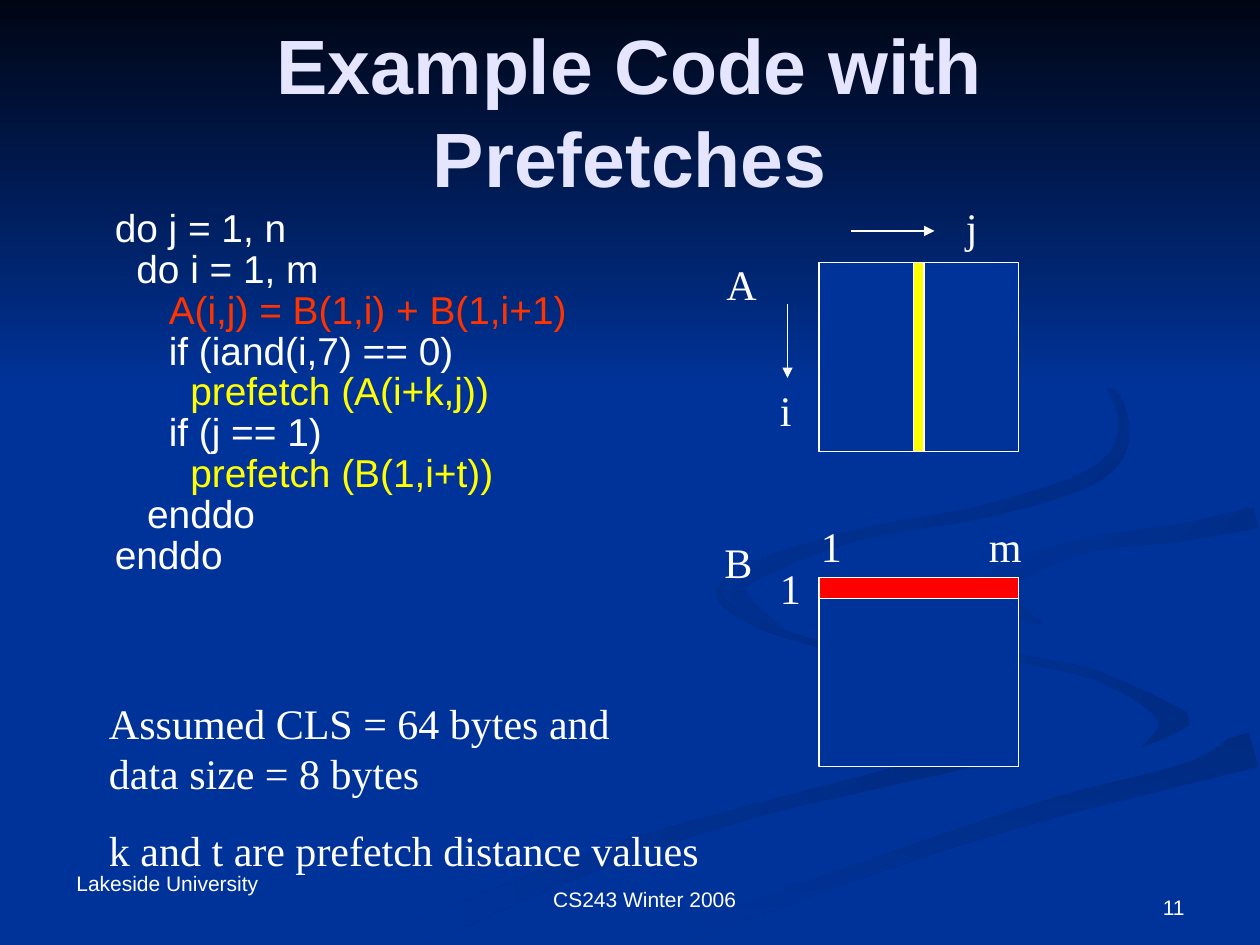
from dataclasses import dataclass
from math import hypot

from lxml.etree import SubElement
from pptx import Presentation
from pptx.dml.color import RGBColor as RGB
from pptx.enum.shapes import MSO_CONNECTOR as Connector, MSO_SHAPE as Shape
from pptx.enum.text import MSO_ANCHOR as Anchor, MSO_AUTO_SIZE as AutoSize, PP_ALIGN as Align
from pptx.oxml.ns import qn
from pptx.util import Inches, Pt

COLORS = {
    "blue": "003399", "night": "000514", "shade": "002B81", "lilac": "E5E5FF",
    "white": "FFFFFF", "orange": "FF3300", "yellow": "FFFF00", "red": "FF0000",
}
SANS, SERIF = "Arial", "Times New Roman"
COLUMNS, ROWS = 120, 90  # square cells
SPACE = 0.278  # width of a space in the sans font, in ems
STEPS = 6  # curve pieces between two waypoints


@dataclass
class Ribbon:
    """A band that follows waypoints (column, row, half its thickness)."""
    waypoints: list
    fill: tuple  # gradient from the first colour to the second
    angle: int = 0


RIBBONS = {
    "left hook": Ribbon(
        [(69, 55.2, 0.1), (68.8, 57.2, 0.3), (73, 59.8, 0.3), (82, 62.5, 0.3),
         (92.5, 66, 0.3), (95.1, 69.1, 0.7), (93, 71.6, 1.1), (85.2, 73.9, 0.8),
         (72, 77.2, 0.6), (57.4, 81.7, 0.9), (40, 88.8, 1.2)], ("shade", "blue"), 180),
    "right hook": Ribbon(
        [(86.9, 55.7, 0.1), (88.5, 59, 0.3), (95.5, 62.2, 0.3), (104.5, 64.3, 0.5),
         (110.5, 67, 1.2), (111.6, 69.8, 1.4), (107.3, 72.6, 0.1)], ("shade", "blue"), 135),
    "lower band": Ribbon(
        [(119.4, 71.4, 1.7), (99, 76.9, 1.3), (83.4, 81.7, 1.4), (65, 88.6, 1.2)],
        ("shade", "blue"), 270),
    "plain band": Ribbon(
        [(119.7, 47.4, 0.9), (102, 50.3, 0.9), (92.5, 52.8, 1.3), (90.3, 55.5, 2),
         (96, 59.5, 1.8), (106, 62.5, 1.8), (115.5, 67.2, 2), (113, 71, 1.5),
         (100, 75, 1), (82, 81, 1), (60, 88.8, 1)], ("blue", "blue")),
    "right tail": Ribbon(
        [(119.6, 49.3, 1), (112, 50.8, 0.8), (103.5, 51.9, 0.7), (96.2, 54.6, 1.2),
         (95.2, 56.8, 1.2), (99.1, 59.4, 0.1)], ("blue", "shade"), 315),
    "upper hook": Ribbon(
        [(91.5, 28, 0.1), (103.8, 35, 0.2), (107, 40.4, 0.5), (104.5, 45.1, 0.7),
         (94.2, 48.6, 0.6), (81.5, 51, 0.5), (71, 54.8, 0.9), (70.5, 57, 0.8),
         (74.6, 60, 0.1)], ("blue", "shade"), 315),
}

CODE = [  # leading spaces, statement, colour
    (0, "do j = 1, n", "white"),
    (2, "do i = 1, m", "white"),
    (5, "A(i,j) = B(1,i) + B(1,i+1)", "orange"),
    (5, "if (iand(i,7) == 0)", "white"),
    (7, "prefetch (A(i+k,j))", "yellow"),
    (5, "if (j == 1)", "white"),
    (7, "prefetch (B(1,i+t))", "yellow"),
    (3, "enddo", "white"),
    (0, "enddo", "white"),
]

MATRIX_LEFT, MATRIX_WIDTH, MATRIX_HEIGHT = 78, 19, 18
A_TOP, B_TOP = 25, 55

LABELS = [  # text, column, row, width
    ("A", 68, 24, 5.5), ("j", 90.8, 18.6, 3.5), ("i", 73.1, 36, 3.5),
    ("B", 67.8, 50.5, 5), ("1", 73.1, 53, 4.3), ("1", 77, 49, 4.3), ("m", 93, 49, 5.5),
]

FOOTERS = [  # text, cells, alignment, anchor
    ("Lakeside University", (6.1, 82.3, 22.6, 3.6), Align.LEFT, Anchor.TOP),
    ("CS243 Winter 2006", (51.5, 83.8, 20, 3.6), Align.LEFT, Anchor.TOP),
    ("11", (86, 82, 28, 6.2), Align.RIGHT, Anchor.BOTTOM),
]


def color(name):
    return RGB.from_string(COLORS[name])


def smooth(points):
    """Pass a Catmull-Rom curve through the points."""
    padded = [points[0], *points, points[-1]]
    curve = []
    for before, start, end, after in zip(padded, padded[1:], padded[2:], padded[3:]):
        for t in (step / STEPS for step in range(STEPS)):
            curve.append([
                b + (c - a) * t / 2 + (2 * a - 5 * b + 4 * c - d) * t**2 / 2
                + (3 * b - a - 3 * c + d) * t**3 / 2
                for a, b, c, d in zip(before, start, end, after)])
    return curve + [points[-1]]


def ribbon_outline(waypoints):
    """Go down one side of the smoothed centre line and back up the other."""
    curve = smooth(waypoints)
    near, far = [], []
    for before, (x, y, half), after in zip(curve[:1] + curve, curve, curve[1:] + curve[-1:]):
        dx, dy = after[0] - before[0], after[1] - before[1]
        reach = half / hypot(dx, dy)
        near.append((x - dy * reach, y + dx * reach))
        far.append((x + dy * reach, y - dx * reach))
    return near + far[::-1]


class Canvas:
    def __init__(self, deck):
        self.cell = deck.slide_width / COLUMNS
        self.page = deck.slides.add_slide(deck.slide_layouts[5])
        self.shapes = self.page.shapes
        self.page.background.fill.solid()
        self.page.background.fill.fore_color.rgb = color("blue")

    def cells(self, *lengths):
        return [round(length * self.cell) for length in lengths]

    def gradient(self, shape, names, angle):
        shape.shadow.inherit = False
        shape.line.fill.background()
        shape.fill.gradient()
        shape.fill.gradient_angle = angle
        for stop, name in zip(shape.fill.gradient_stops, names):
            stop.color.rgb = color(name)

    def ribbon(self, ribbon):
        start, *rest = [self.cells(*point) for point in ribbon_outline(ribbon.waypoints)]
        builder = self.shapes.build_freeform(*start)
        builder.add_line_segments(rest, close=True)
        self.gradient(builder.convert_to_shape(), ribbon.fill, ribbon.angle)

    def sky(self, height):
        shape = self.shapes.add_shape(Shape.RECTANGLE, *self.cells(0, 0, COLUMNS, height))
        self.gradient(shape, ("night", "blue"), 270)

    def style(self, para, size, font=SANS, tint="white", bold=False):
        for span in para.runs:
            span.font.size, span.font.name, span.font.bold = Pt(size), font, bold
            span.font.color.rgb = color(tint)

    def title(self, text, *place):
        """Fill the title placeholder and bring it in front of the backdrop."""
        title = self.shapes.title
        self.shapes._spTree.append(title._element)
        title.left, title.top, title.width, title.height = self.cells(*place)
        frame = title.text_frame
        frame.text = text
        frame.auto_size, frame.vertical_anchor = AutoSize.NONE, Anchor.MIDDLE
        frame.paragraphs[0].alignment = Align.CENTER
        self.style(frame.paragraphs[0], 44, tint="lilac", bold=True)

    def text(self, text, place, size, font=SANS, wrap=True, align=Align.LEFT,
             anchor=Anchor.TOP, before=0):
        frame = self.shapes.add_textbox(*self.cells(*place)).text_frame
        frame.text = text
        frame.word_wrap, frame.vertical_anchor = wrap, anchor
        for para in frame.paragraphs:
            para.alignment, para.space_before = align, Pt(before)
            self.style(para, size, font)
        return frame

    def code(self, lines, place, size=22.2):
        statements = "\n".join(statement for _, statement, _ in lines)
        frame = self.text(statements, place, size, before=6)
        for para, (spaces, _, tint) in zip(frame.paragraphs, lines):
            para.line_spacing = 0.65
            indent = Pt(spaces * SPACE * size)
            para._p.get_or_add_pPr().set("marL", str(int(indent)))
            self.style(para, size, tint=tint)

    def block(self, tint, *place):
        shape = self.shapes.add_shape(Shape.RECTANGLE, *self.cells(*place))
        shape.shadow.inherit = False
        shape.fill.solid()
        shape.fill.fore_color.rgb = color(tint)
        shape.line.color.rgb, shape.line.width = color("white"), Pt(0.75)

    def arrow(self, *ends):
        line = self.shapes.add_connector(Connector.STRAIGHT, *self.cells(*ends))
        line.line.color.rgb, line.line.width = color("white"), Pt(0.75)
        SubElement(line.line._get_or_add_ln(), qn("a:tailEnd"), type="triangle")
        SubElement(line._element.spPr, qn("a:effectLst"))


def main():
    deck = Presentation()
    deck.slide_width, deck.slide_height = Inches(COLUMNS / 12), Inches(ROWS / 12)
    canvas = Canvas(deck)
    for ribbon in RIBBONS.values():
        canvas.ribbon(ribbon)
    canvas.sky(37)
    for text, place, align, anchor in FOOTERS:
        canvas.text(text, place, 12, align=align, anchor=anchor)
    canvas.title("Example Code with Prefetches", 9, 3, 102, 15)
    canvas.code(CODE, (9.75, 20.2, 56, 37))
    for top in (A_TOP, B_TOP):
        canvas.block("blue", MATRIX_LEFT, top, MATRIX_WIDTH, MATRIX_HEIGHT)
    canvas.block("yellow", MATRIX_LEFT + 9, A_TOP, 1, MATRIX_HEIGHT)
    canvas.block("red", MATRIX_LEFT, B_TOP, MATRIX_WIDTH, 2)
    canvas.arrow(75, 29, 75, 36)
    canvas.arrow(81, 22, 89, 22)
    for text, column, row, width in LABELS:
        canvas.text(text, (column, row, width, 6), 24, SERIF, wrap=False)
    canvas.text("Assumed CLS = 64 bytes and\vdata size = 8 bytes\n"
                "k and t are prefetch distance values",
                (9.2, 65.8, 62, 18.1), 24, SERIF, before=15)
    deck.save("out.pptx")


if __name__ == "__main__":
    main()
